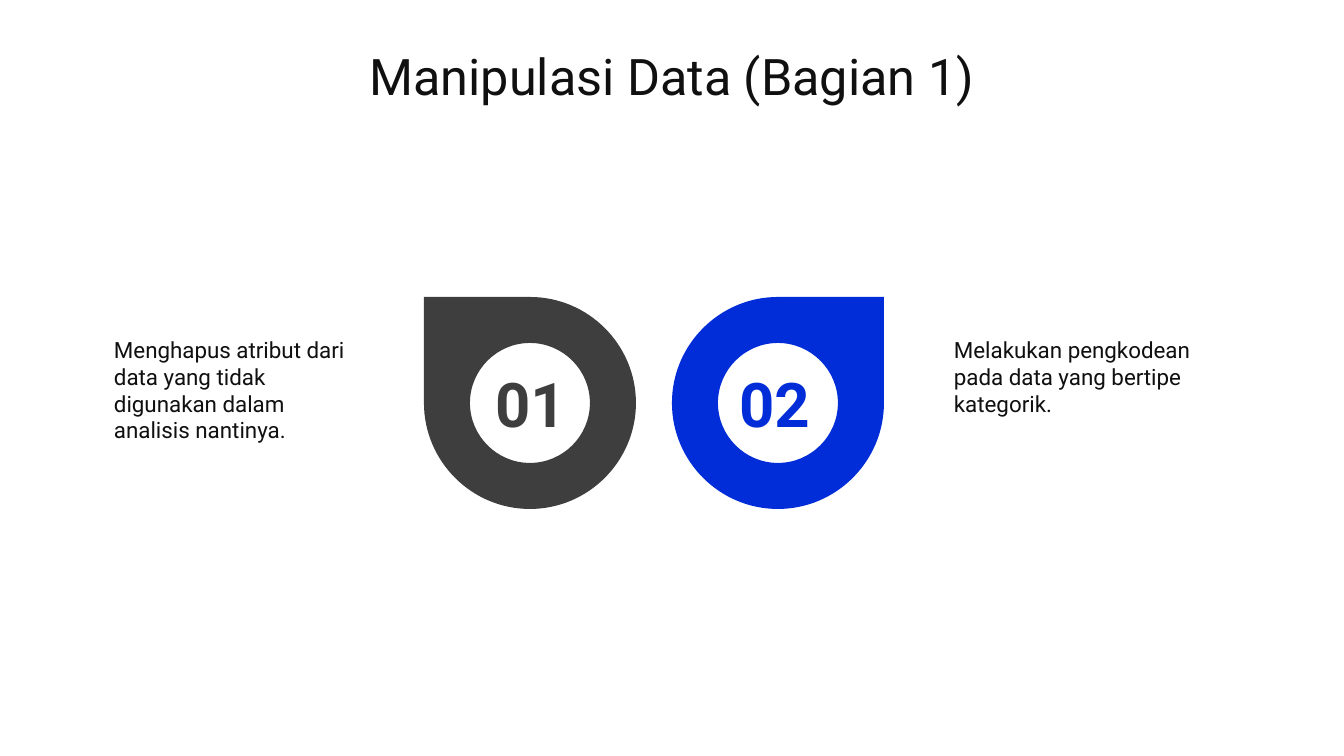
from dataclasses import dataclass

from lxml import etree
from pptx import Presentation
from pptx.dml.color import RGBColor
from pptx.enum.text import MSO_ANCHOR, MSO_AUTO_SIZE, PP_ALIGN
from pptx.oxml.ns import qn
from pptx.util import Pt

PX = 914400 / 100.8
FONT = "Roboto"
INK = RGBColor(0x10, 0x10, 0x10)
GRAY = RGBColor(0x3E, 0x3E, 0x3E)
BLUE = RGBColor(0x00, 0x2D, 0xD8)
CENTER = PP_ALIGN.CENTER
LEFT = PP_ALIGN.LEFT
MIDDLE = MSO_ANCHOR.MIDDLE
NO_AUTOFIT = MSO_AUTO_SIZE.NONE

DROP_CENTER_Y = 403
DROP_RADIUS = 106
HOLE_RADIUS = 60
CURVE = 0.55
STRAIGHT_EDGES = 2


@dataclass(frozen=True)
class Step:
    number: str
    text: str
    color: RGBColor
    center_x: int
    corner_side: int
    number_left: int
    text_left: int


STEPS = [
    Step("01", "Menghapus atribut dari data yang tidak digunakan dalam analisis nantinya.",
         GRAY, 530, -1, 470, 104),
    Step("02", "Melakukan pengkodean pada data yang bertipe kategorik.",
         BLUE, 778, 1, 714, 944),
]


def emu(px: float) -> int:
    return round(px * PX)


def write(s, text: str, size: int, color: RGBColor, align, bold: bool = False) -> None:
    tf = s.text_frame
    tf.text = text
    tf.word_wrap = True
    tf.auto_size = NO_AUTOFIT
    p = tf.paragraphs[0]
    p.alignment = align
    font = p.runs[0].font
    font.name, font.size, font.bold = FONT, Pt(size), bold
    font.color.rgb = color


def add_text(shapes, left: int, top: int, width: int, height: int, text: str,
             size: int, color: RGBColor, align, bold: bool = False) -> None:
    s = shapes.add_textbox(emu(left), emu(top), emu(width), emu(height))
    write(s, text, size, color, align, bold)


def round_edge(edge, center: int) -> None:
    start = edge.getprevious()[-1]
    end = edge[0]
    a = [int(start.get(axis)) for axis in "xy"]
    b = [int(end.get(axis)) for axis in "xy"]
    bend = [i + j - center for i, j in zip(a, b)]
    edge.tag = qn("a:cubicBezTo")
    for index, anchor in enumerate((a, b)):
        x, y = (round(i + CURVE * (j - i)) for i, j in zip(anchor, bend))
        edge.insert(index, etree.Element(qn("a:pt"), x=str(x), y=str(y)))


def add_drop(shapes, step: Step) -> None:
    def point(across: int, down: int, radius: int) -> tuple[int, int]:
        return (emu(step.center_x + step.corner_side * across * radius),
                emu(DROP_CENTER_Y + down * radius))

    quarters = [(1, 0), (0, 1), (-1, 0), (0, -1)]
    outline = [point(x, y, DROP_RADIUS) for x, y in [(0, -1), (1, -1), *quarters]]
    hole = [point(x, y, HOLE_RADIUS) for x, y in [(0, -1), *quarters[::-1][1:], (0, -1)]]
    builder = shapes.build_freeform(*outline[0])
    builder.add_line_segments(outline[1:], close=True)
    builder.move_to(*hole[0])
    builder.add_line_segments(hole[1:], close=True)
    s = builder.convert_to_shape()
    for edge in list(s._element.iter(qn("a:lnTo")))[STRAIGHT_EDGES:]:
        round_edge(edge, emu(DROP_RADIUS))
    s.shadow.inherit = False
    s.fill.solid()
    s.fill.fore_color.rgb = step.color
    s.line.fill.background()


def add_step(slide, step: Step) -> None:
    badge = slide.shapes.add_group_shape()
    add_drop(badge.shapes, step)
    add_text(badge.shapes, step.number_left, 361, 121, 85,
             step.number, 44, step.color, CENTER, True)
    add_text(slide.shapes, step.text_left, 331, 271, 178, step.text, 16, INK, LEFT)


def main() -> None:
    prs = Presentation()
    prs.slide_width, prs.slide_height = emu(1344), emu(756)
    slide = prs.slides.add_slide(prs.slide_layouts[5])
    title = slide.shapes.title
    title.left, title.top, title.width, title.height = map(emu, (334, 46, 676, 66))
    write(title, "Manipulasi Data (Bagian 1)", 36, INK, CENTER)
    title.text_frame.vertical_anchor = MIDDLE
    title.text_frame.paragraphs[0].line_spacing = 0.9
    for step in STEPS:
        add_step(slide, step)
    prs.save("out.pptx")


if __name__ == "__main__":
    main()
